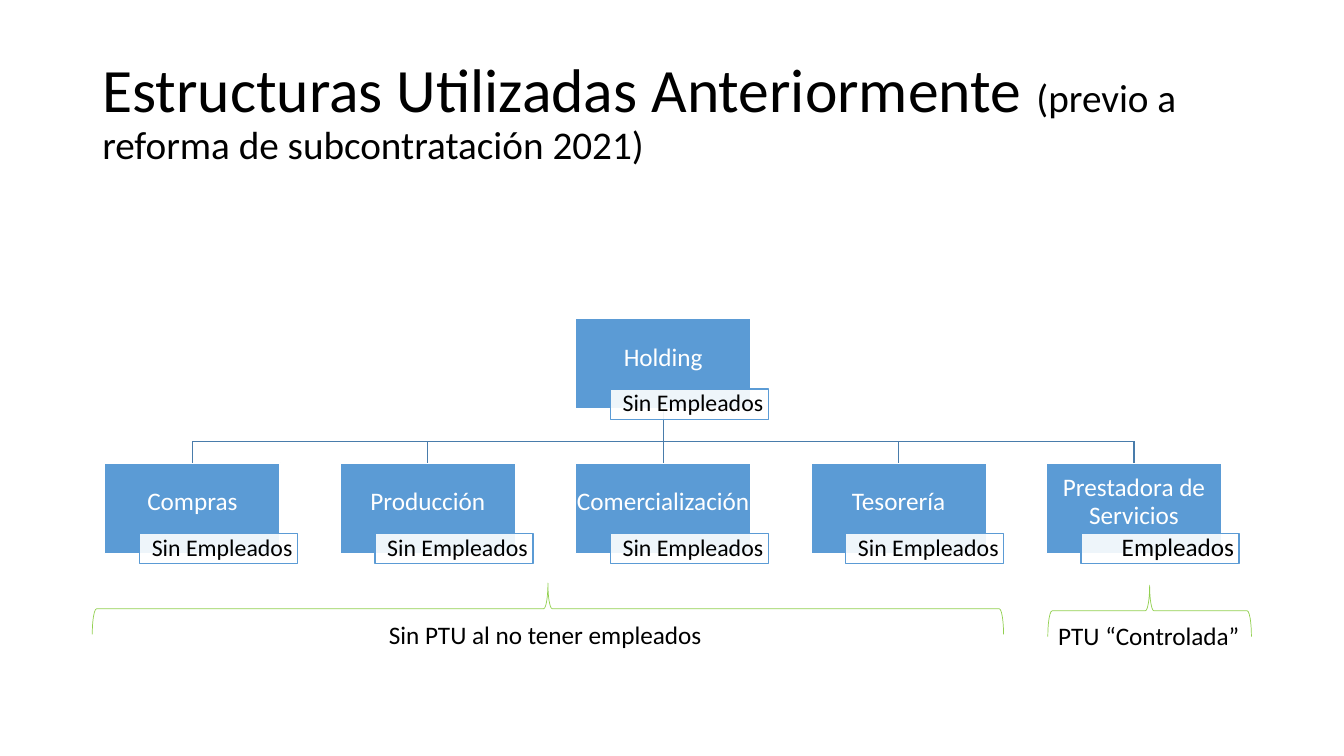
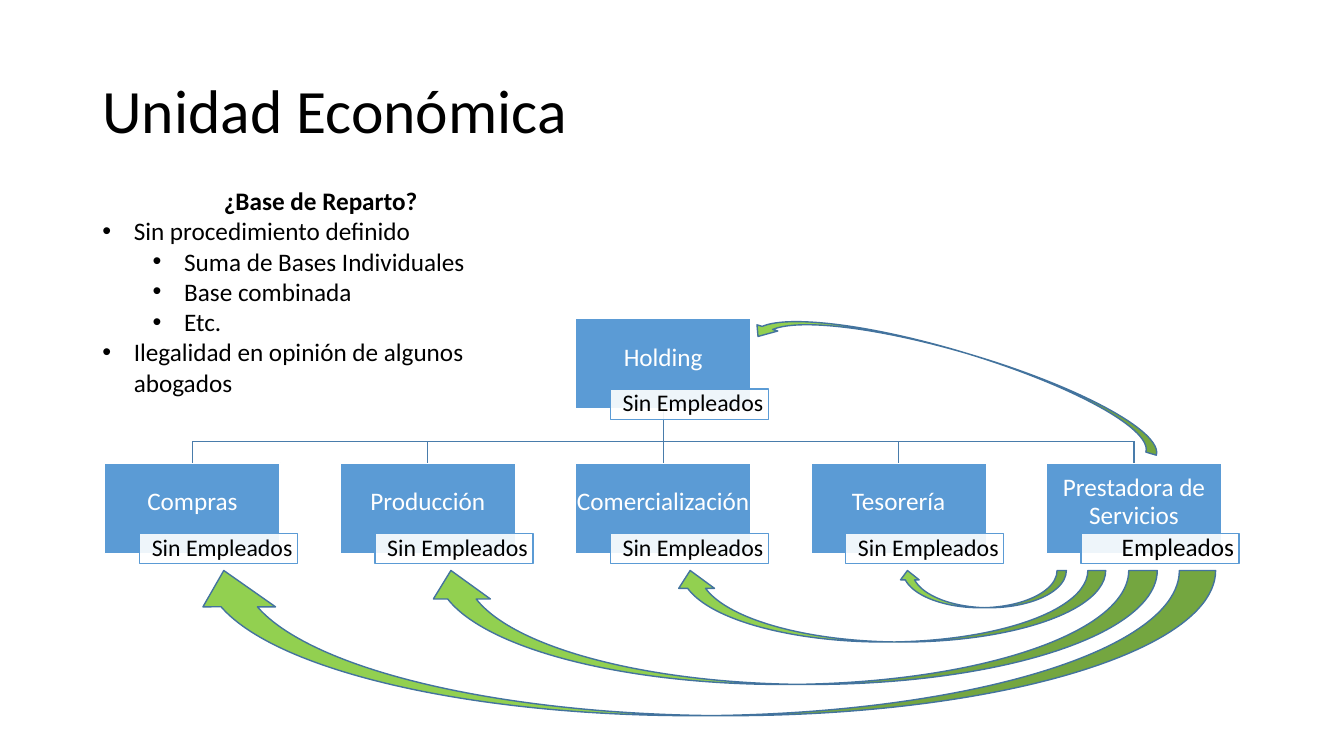
from dataclasses import dataclass

from lxml.etree import SubElement
from pptx import Presentation
from pptx.dml.color import RGBColor
from pptx.enum.shapes import MSO_CONNECTOR, MSO_SHAPE
from pptx.enum.text import MSO_ANCHOR, PP_ALIGN
from pptx.oxml.ns import qn
from pptx.shapes.autoshape import Shape
from pptx.shapes.connector import Connector
from pptx.slide import Slide
from pptx.text.text import TextFrame
from pptx.util import Pt

RECT, BRACE = MSO_SHAPE.RECTANGLE, MSO_SHAPE.LEFT_BRACE
DOWN, SIDE = MSO_SHAPE.CURVED_DOWN_ARROW, MSO_SHAPE.CURVED_RIGHT_ARROW
LEFT, MID, RIGHT = PP_ALIGN.LEFT, PP_ALIGN.CENTER, PP_ALIGN.RIGHT
CENTER, TOP = MSO_ANCHOR.MIDDLE, MSO_ANCHOR.TOP
STRAIGHT = MSO_CONNECTOR.STRAIGHT

FONT = "Calibri"
COLORS = {
    "black": "000000",
    "white": "FFFFFF",
    "box": "5B9BD5",
    "link": "497CAB",
    "green": "92D050",
    "edge": "43739E",
}

# Chart grid
BOX_W, BOX_H = 125.3, 64.8
LEFT_X, STEP = 74.8, 168.15
HEAD_Y, ROW_Y, BAR_Y = 227.5, 330.6, 315.2
TAG_DX, TAG_DY, TAG_W, TAG_H = 24.8, 50.4, 113, 21.6
HALF = 2  # column of the parent box


@dataclass(frozen=True)
class Unit:
    name: str
    col: int
    y: float = ROW_Y
    tag: str = "Sin Empleados"
    size: float = 17

    @property
    def x(self) -> float:
        return LEFT_X + STEP * self.col


@dataclass(frozen=True)
class Sign:
    """A preset shape, placed before it is turned."""
    kind: MSO_SHAPE
    x: float
    y: float
    w: float
    h: float
    turn: float


@dataclass(frozen=True)
class Note:
    text: str
    x: float
    y: float
    w: float


@dataclass(frozen=True)
class Item:
    text: str
    level: int = 0


HEAD = Unit("Holding", HALF, HEAD_Y)
ROW = [
    Unit("Compras", 0),
    Unit("Producción", 1),
    Unit("Comercialización", 2),
    Unit("Tesorería", 3),
    Unit("Prestadora de Servicios", 4, tag="Empleados", size=18),
]
BRACES = [
    Sign(BRACE, 373, 109.4, 36.7, 650.9, 90),
    Sign(BRACE, 802.8, 363.6, 36.7, 145.4, 90),
]
NOTES = [
    Note("Sin PTU al no tener empleados", 270.7, 438.5, 240.5),
    Note("PTU “Controlada”", 748.8, 439.9, 144.7),
]
ARROWS = [
    Sign(DOWN, 641.5, 407.5, 120.2, 26.6, 180),
    Sign(DOWN, 480.2, 407.5, 309.6, 51.1, 180),
    Sign(DOWN, 301.7, 407.5, 524.9, 81.4, 180),
    Sign(DOWN, 133.9, 407.5, 734.4, 103.7, 180),
    Sign(SIDE, 668.9, 114.5, 31, 304.6, 106.6),
]
ITEMS = [
    Item("Sin procedimiento definido"),
    Item("Suma de Bases Individuales", 1),
    Item("Base combinada", 1),
    Item("Etc.", 1),
    Item("Ilegalidad en opinión de algunos abogados"),
]


def tint(name: str) -> RGBColor:
    return RGBColor.from_string(COLORS[name])


def style(font, size: float, color: str = "black", bold: bool = False) -> None:
    font.name, font.size, font.bold = FONT, Pt(size), bold
    font.color.rgb = tint(color)


def pad(frame: TextFrame, left: float, top: float, right: float, foot: float) -> None:
    frame.margin_left, frame.margin_top = Pt(left), Pt(top)
    frame.margin_right, frame.margin_bottom = Pt(right), Pt(foot)


def add_text(slide: Slide, x: float, y: float, w: float, h: float,
             wrap: bool = True, anchor: MSO_ANCHOR = TOP) -> TextFrame:
    frame = slide.shapes.add_textbox(Pt(x), Pt(y), Pt(w), Pt(h)).text_frame
    frame.word_wrap, frame.vertical_anchor = wrap, anchor
    return frame


def add_title(slide: Slide, text: str, small: str = "") -> None:
    frame = add_text(slide, 66, 28.8, 828, 104.4, anchor=CENTER)
    frame.text = text
    para = frame.paragraphs[0]
    para.line_spacing = 0.9
    style(para.runs[0].font, 44)
    if small:
        run = para.add_run()
        run.text = small
        style(run.font, 28)


def add_rect(slide: Slide, x: float, y: float, w: float, h: float,
             fill: str, line: str, text: str, size: float,
             color: str, align: PP_ALIGN) -> Shape:
    shape = slide.shapes.add_shape(RECT, Pt(x), Pt(y), Pt(w), Pt(h))
    shape.shadow.inherit = False
    shape.fill.solid()
    shape.fill.fore_color.rgb = tint(fill)
    shape.line.color.rgb = tint(line)
    shape.line.width = Pt(1)
    frame = shape.text_frame
    frame.text = text
    frame.word_wrap, frame.vertical_anchor = True, CENTER
    para = frame.paragraphs[0]
    para.alignment, para.line_spacing = align, 0.9
    style(para.runs[0].font, size, color)
    return shape


def add_box(slide: Slide, unit: Unit) -> Shape:
    box = add_rect(slide, unit.x, unit.y, BOX_W, BOX_H, "box", "white",
                   unit.name, 18, "white", MID)
    pad(box.text_frame, 0.8, 0.8, 0.8, 9.2)
    return box


def add_tag(slide: Slide, unit: Unit) -> None:
    tag = add_rect(slide, unit.x + TAG_DX, unit.y + TAG_DY, TAG_W, TAG_H,
                   "white", "box", unit.tag, unit.size, "black", RIGHT)
    pad(tag.text_frame, 3.6, 0.8, 3.6, 0.8)
    fill = next(tag._element.spPr.iter(qn("a:srgbClr")))
    SubElement(fill, qn("a:alpha")).set("val", "90000")


def add_line(slide: Slide, x1: float, y1: float, x2: float, y2: float) -> Connector:
    line = slide.shapes.add_connector(STRAIGHT, Pt(x1), Pt(y1), Pt(x2), Pt(y2))
    line.line.color.rgb = tint("link")
    line.line.width = Pt(1)
    SubElement(line._element.spPr, qn("a:effectLst"))
    return line


def add_chart(slide: Slide) -> None:
    """Draw the boxes, then their links, then the tags on top."""
    head = add_box(slide, HEAD)
    boxes = [add_box(slide, unit) for unit in ROW]
    mids = [unit.x + BOX_W / 2 for unit in ROW]
    add_line(slide, mids[0], BAR_Y, mids[-1], BAR_Y)
    for unit, box, mid in zip(ROW, boxes, mids):
        line = add_line(slide, mid, BAR_Y, mid, ROW_Y)
        if unit.col == HALF:
            line.begin_connect(head, 2)
        line.end_connect(box, 0)
    for unit in [HEAD, *ROW]:
        add_tag(slide, unit)


def add_sign(slide: Slide, sign: Sign, line: str, width: float,
             fill: str = "") -> None:
    shape = slide.shapes.add_shape(sign.kind, Pt(sign.x), Pt(sign.y),
                                   Pt(sign.w), Pt(sign.h))
    shape.shadow.inherit = False
    shape.rotation = sign.turn
    shape.line.color.rgb = tint(line)
    shape.line.width = Pt(width)
    if fill:
        shape.fill.solid()
        shape.fill.fore_color.rgb = tint(fill)
    else:
        shape.fill.background()


def add_note(slide: Slide, note: Note) -> None:
    frame = add_text(slide, note.x, note.y, note.w, 28.8, wrap=False)
    frame.text = note.text
    style(frame.paragraphs[0].runs[0].font, 18)


def add_list(slide: Slide) -> None:
    frame = add_text(slide, 66, 128.9, 326.2, 159.8)
    frame.text = "¿Base de Reparto?"
    first = frame.paragraphs[0]
    first.alignment = MID
    style(first.runs[0].font, 18, bold=True)
    for item in ITEMS:
        para = frame.add_paragraph()
        para.text, para.level, para.alignment = item.text, item.level, LEFT
        props = para._p.get_or_add_pPr()
        props.set("marL", str(Pt(22.5 + 36 * item.level)))
        props.set("indent", str(-Pt(22.5)))
        SubElement(props, qn("a:buFont")).set("typeface", "Arial")
        SubElement(props, qn("a:buChar")).set("char", "•")
        style(para.runs[0].font, 18)


def main() -> None:
    deck = Presentation()
    deck.slide_width, deck.slide_height = Pt(960), Pt(540)
    blank = deck.slide_layouts[6]

    past = deck.slides.add_slide(blank)
    add_title(past, "Estructuras Utilizadas Anteriormente ",
              "(previo a reforma de subcontratación 2021)")
    add_chart(past)
    for brace in BRACES:
        add_sign(past, brace, "green", 0.5)
    for note in NOTES:
        add_note(past, note)

    whole = deck.slides.add_slide(blank)
    add_title(whole, "Unidad Económica")
    add_chart(whole)
    add_list(whole)
    for arrow in ARROWS:
        add_sign(whole, arrow, "edge", 1, "green")

    deck.save("out.pptx")


if __name__ == "__main__":
    main()
